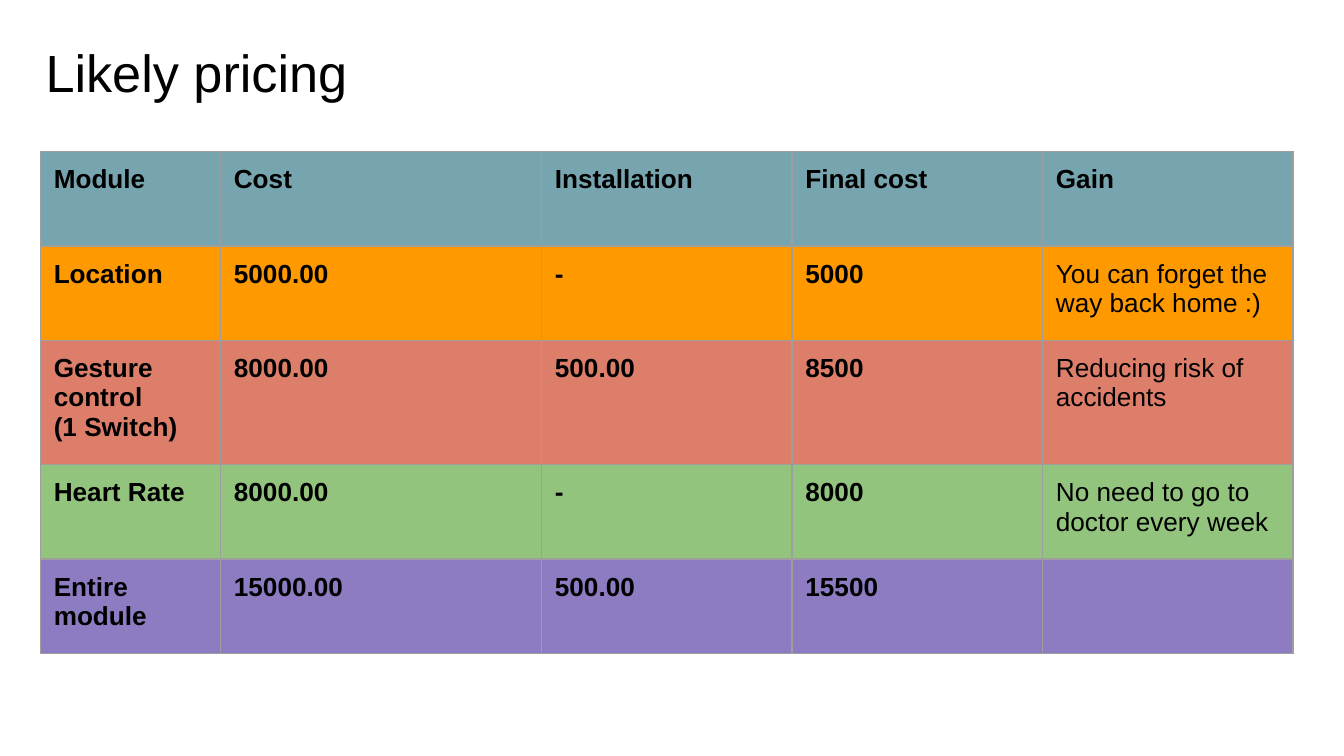
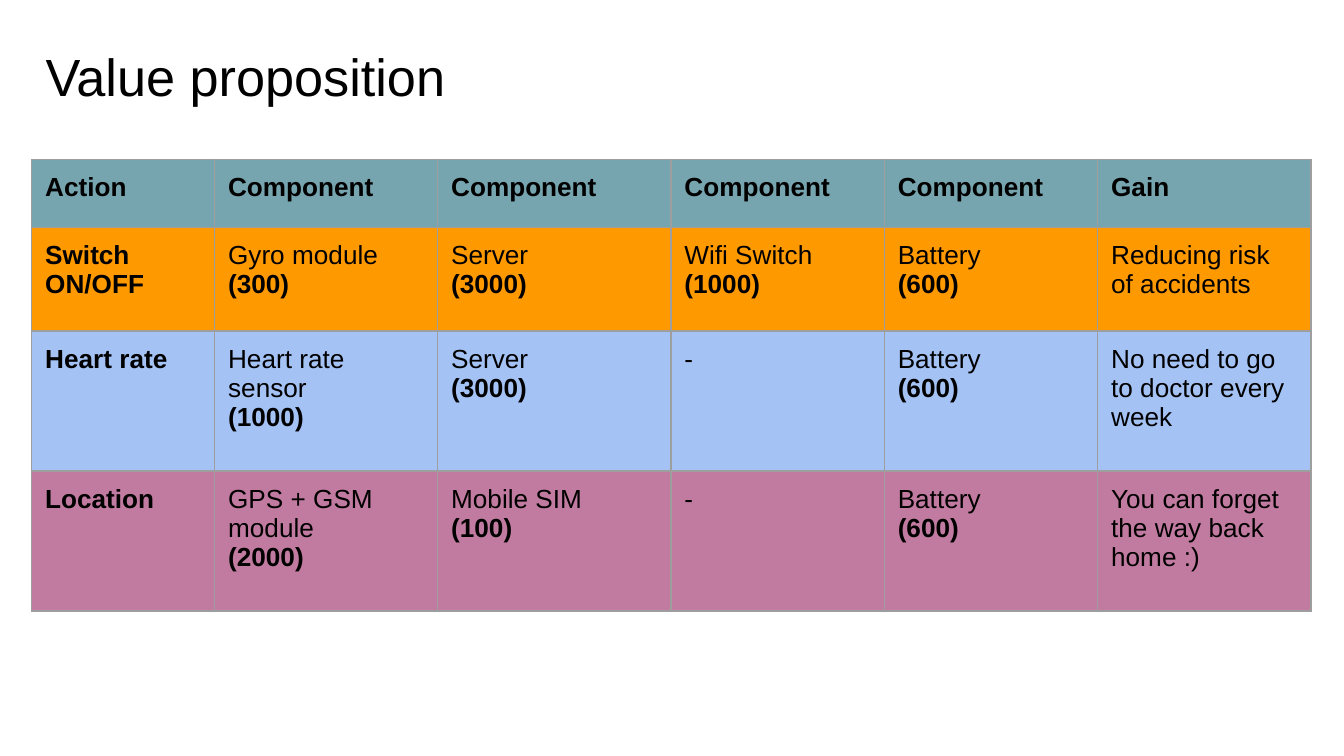
from lxml import etree
from pptx import Presentation
from pptx.dml.color import RGBColor
from pptx.enum.text import MSO_ANCHOR
from pptx.oxml.ns import qn
from pptx.util import Pt

TOP = MSO_ANCHOR.TOP

FONT = "Arial"
INK = "000000"
BORDER = "9E9E9E"
HEADER = "76A5AF"
ORANGE = "FF9900"
RED = "DD7E6B"
GREEN = "93C47D"
PURPLE = "8E7CC3"
BLUE = "A4C2F4"
PINK = "C27BA0"


def color(value):
    return RGBColor.from_string(value)


# A cell is a list of paragraphs; a paragraph is a list of (text, bold) runs
def strong(*lines):
    return [[(line, True)] for line in lines]


def plain(text):
    return [[(text, False)]]


def priced(name, price):
    return plain(name) + strong(f"({price})")


def priced_inline(name, price):
    return [[(f"{name} ", False), (f"({price})", True)]]


def strong_cells(*texts):
    return [strong(text) for text in texts]


class Deck:
    title_size = 28
    cell_size = 14
    inset = 7.2

    def __init__(self):
        self.presentation = Presentation()
        self.presentation.slide_width = Pt(720)
        self.presentation.slide_height = Pt(405)
        self.slide = None

    def add_slide(self):
        layout = self.presentation.slide_layouts[6]
        self.slide = self.presentation.slides.add_slide(layout)

    def set_margins(self, target):
        target.margin_left = target.margin_right = Pt(self.inset)
        target.margin_top = target.margin_bottom = Pt(self.inset)
        target.vertical_anchor = TOP

    def add_text(self, frame, paragraphs, size):
        frame.word_wrap = True
        for index, runs in enumerate(paragraphs):
            paragraph = frame.add_paragraph() if index else frame.paragraphs[0]
            for text, bold in runs:
                run = paragraph.add_run()
                run.text = text
                run.font.name = FONT
                run.font.size = Pt(size)
                run.font.bold = bold
                run.font.color.rgb = color(INK)

    def title(self, text, top):
        shape = self.slide.shapes.add_textbox(Pt(17.3), Pt(top), Pt(671), Pt(45))
        self.set_margins(shape.text_frame)
        self.add_text(shape.text_frame, plain(text), self.title_size)

    def border(self, cell):
        properties = cell._tc.get_or_add_tcPr()
        for side in ("a:lnL", "a:lnR", "a:lnT", "a:lnB"):
            line = etree.SubElement(properties, qn(side), w=str(Pt(0.75)))
            fill = etree.SubElement(line, qn("a:solidFill"))
            etree.SubElement(fill, qn("a:srgbClr"), val=BORDER)

    def table(self, left, top, widths, rows):
        """Each row is (height, fill, cells)."""
        height = sum(row[0] for row in rows)
        table = self.slide.shapes.add_table(
            len(rows), len(widths), Pt(left), Pt(top), Pt(sum(widths)), Pt(height)
        ).table
        table.first_row = table.horz_banding = False
        for column, width in zip(table.columns, widths):
            column.width = Pt(width)
        for table_row, (row_height, fill, contents) in zip(table.rows, rows):
            table_row.height = Pt(row_height)
            for cell, content in zip(table_row.cells, contents):
                self.border(cell)
                cell.fill.solid()
                cell.fill.fore_color.rgb = color(fill)
                self.set_margins(cell)
                self.add_text(cell.text_frame, content, self.cell_size)


def main():
    deck = Deck()
    safety = plain("Reducing risk of accidents")
    health = plain("No need to go to doctor every week")
    way_home = plain("You can forget the way back home :)")

    # Pricing per module
    deck.add_slide()
    deck.title("Likely pricing", 14.4)
    deck.table(21.6, 81.3, [96.5, 172] + [134.2] * 3, [
        (50.5, HEADER, strong_cells("Module", "Cost", "Installation", "Final cost", "Gain")),
        (50.5, ORANGE, strong_cells("Location", "5000.00", "-", "5000") + [way_home]),
        (66.7, RED, [strong("Gesture control", "(1 Switch)")]
         + strong_cells("8000.00", "500.00", "8500") + [safety]),
        (50.5, GREEN, strong_cells("Heart Rate", "8000.00", "-", "8000") + [health]),
        (50.5, PURPLE, strong_cells("Entire module", "15000.00", "500.00", "15500") + [[]]),
    ])

    # Components and gain per action
    deck.add_slide()
    deck.title("Value proposition", 16.6)
    server = priced("Server", 3000)
    battery = priced("Battery", 600)
    deck.table(17, 85.5, [98, 119.5, 125] + [114.3] * 3, [
        (36.3, HEADER, strong_cells("Action", *["Component"] * 4, "Gain")),
        (55.6, ORANGE, [strong("Switch ON/OFF"), priced_inline("Gyro module", 300),
                        server, priced_inline("Wifi Switch", 1000), battery, safety]),
        (75, BLUE, [strong("Heart rate"), priced("Heart rate sensor", 1000),
                    server, plain("-"), battery, health]),
        (75, PINK, [strong("Location"), priced("GPS + GSM module", 2000),
                    priced("Mobile SIM", 100), plain("-"), battery, way_home]),
    ])

    deck.presentation.save("out.pptx")


if __name__ == "__main__":
    main()
